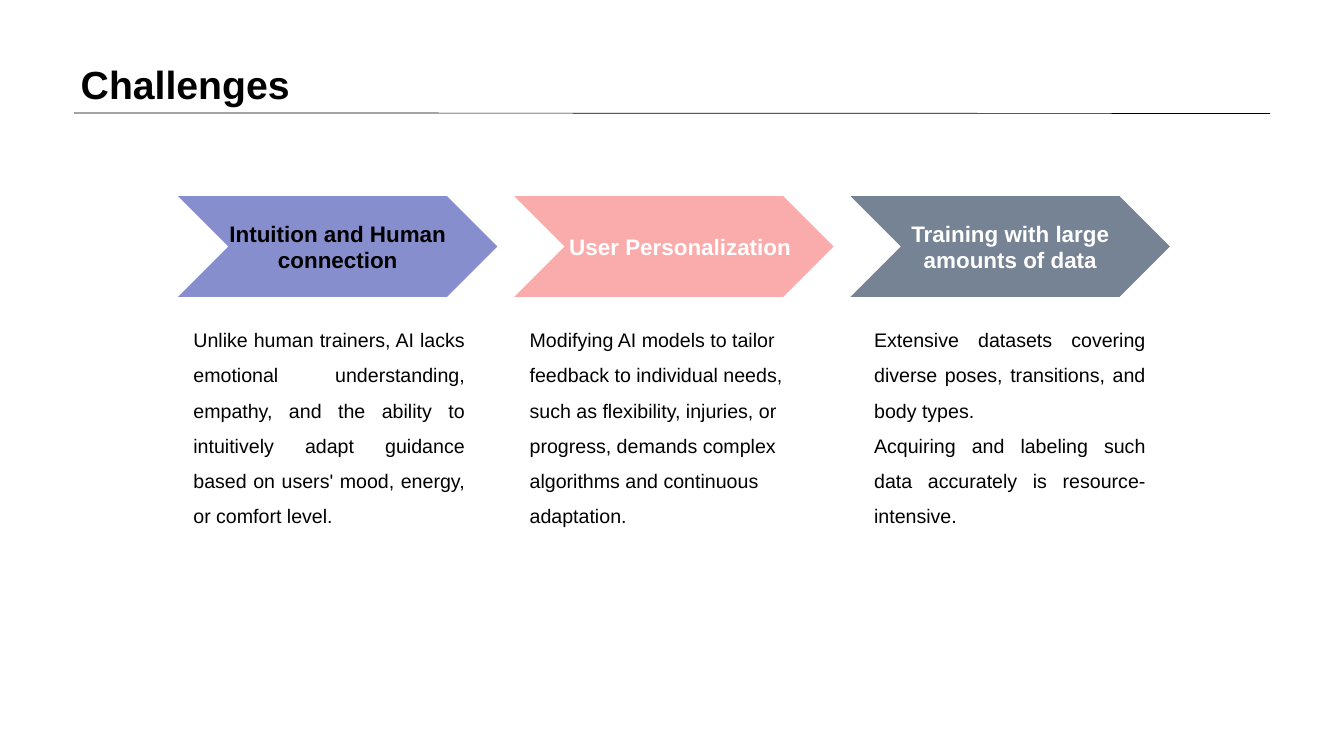
import dataclasses

import pptx
import pptx.dml.color
import pptx.enum.shapes
import pptx.enum.text
import pptx.oxml
import pptx.util

Cm = pptx.util.Cm
Pt = pptx.util.Pt
ALIGN = pptx.enum.text.PP_ALIGN
ANCHOR = pptx.enum.text.MSO_ANCHOR


@dataclasses.dataclass(frozen=True)
class Theme:
    font: str = "Arial"
    black: str = "000000"
    white: str = "FFFFFF"
    periwinkle: str = "878ECD"
    pink: str = "F9ACAB"
    slate: str = "768394"
    title_size: float = 42
    label_size: float = 24
    body_size: float = 21
    title_spacing: float = 45.4
    label_spacing: float = 28.8
    body_spacing: float = 37.8


class SlideBuilder:
    """Draws the elements of one slide in one style."""

    def __init__(self, slide, theme):
        self.slide = slide
        self.theme = theme

    def color(self, value):
        return pptx.dml.color.RGBColor.from_string(value)

    def set_text(self, shape, text, size, spacing, color, align, anchor, bold=False):
        frame = shape.text_frame
        frame.text = text
        frame.word_wrap = True
        frame.auto_size = pptx.enum.text.MSO_AUTO_SIZE.NONE
        frame.vertical_anchor = anchor
        frame.margin_left = frame.margin_right = Cm(0)
        frame.margin_top = frame.margin_bottom = Cm(0)
        for paragraph in frame.paragraphs:
            paragraph.alignment = align
            paragraph.line_spacing = Pt(spacing)
            paragraph.space_before = paragraph.space_after = Pt(0)
            for run in paragraph.runs:
                run.font.name = self.theme.font
                run.font.size = Pt(size)
                run.font.bold = bold
                run.font.color.rgb = self.color(color)
        return frame

    def title(self, text, left, top, width, height):
        shape = self.slide.shapes.title
        shape.left, shape.top = Cm(left), Cm(top)
        shape.width, shape.height = Cm(width), Cm(height)
        self.set_text(shape, text, self.theme.title_size, self.theme.title_spacing,
                      self.theme.black, ALIGN.LEFT, ANCHOR.TOP, bold=True)

    def rule(self, left, top, right, bottom):
        line = self.slide.shapes.add_connector(
            pptx.enum.shapes.MSO_CONNECTOR.STRAIGHT,
            Cm(left), Cm(top), Cm(right), Cm(bottom))
        line.line.color.rgb = self.color(self.theme.black)
        line.line.width = Pt(0.75)
        properties = line._element.spPr
        properties.append(pptx.oxml.parse_xml(
            '<a:effectLst xmlns:a="http://schemas.openxmlformats.org/drawingml/2006/main"/>'))

    def chevron(self, text, left, top, width, height, fill, color, inset):
        shape = self.slide.shapes.add_shape(
            pptx.enum.shapes.MSO_SHAPE.CHEVRON,
            Cm(left), Cm(top), Cm(width), Cm(height))
        shape.shadow.inherit = False
        shape.fill.solid()
        shape.fill.fore_color.rgb = self.color(fill)
        shape.line.fill.background()
        frame = self.set_text(shape, text, self.theme.label_size, self.theme.label_spacing,
                              color, ALIGN.CENTER, ANCHOR.MIDDLE, bold=True)
        frame.word_wrap = False
        frame.margin_left = Cm(inset)

    def body(self, text, left, top, width, height, align):
        shape = self.slide.shapes.add_textbox(Cm(left), Cm(top), Cm(width), Cm(height))
        self.set_text(shape, text, self.theme.body_size, self.theme.body_spacing,
                      self.theme.black, align, ANCHOR.TOP)


def main():
    theme = Theme()
    presentation = pptx.Presentation()
    presentation.slide_width, presentation.slide_height = Cm(50.8), Cm(28.58)
    slide = presentation.slides.add_slide(presentation.slide_layouts.get_by_name("Title Only"))
    builder = SlideBuilder(slide, theme)

    builder.rule(2.79, 4.27, 48.01, 4.29)
    builder.title("Challenges", 3.05, 2.46, 44.7, 1.68)

    challenges = [
        ("Intuition and Human\vconnection", theme.periwinkle, theme.black, 0, 0.58, ALIGN.JUSTIFY,
         "Unlike human trainers, AI lacks emotional understanding, empathy, and the ability to "
         "intuitively adapt guidance based on users' mood, energy, or comfort level."),
        ("User Personalization", theme.pink, theme.white, 0.46, 0.58, ALIGN.LEFT,
         "Modifying AI models to tailor feedback to individual needs, such as flexibility, "
         "injuries, or progress, demands complex algorithms and continuous adaptation."),
        ("Training with large\namounts of data", theme.slate, theme.white, 0, 0.89, ALIGN.JUSTIFY,
         "Extensive datasets covering diverse poses, transitions, and body types.\n"
         "Acquiring and labeling such data accurately is resource-intensive."),
    ]
    for column, (label, fill, color, inset, indent, align, text) in enumerate(challenges):
        left = 6.73 + column * 12.71
        builder.chevron(label, left, 7.42, 12.07, 3.8, fill, color, inset)
        builder.body(text, left + indent, 11.96, 10.26, 7.85, align)

    presentation.save("out.pptx")


if __name__ == "__main__":
    main()
